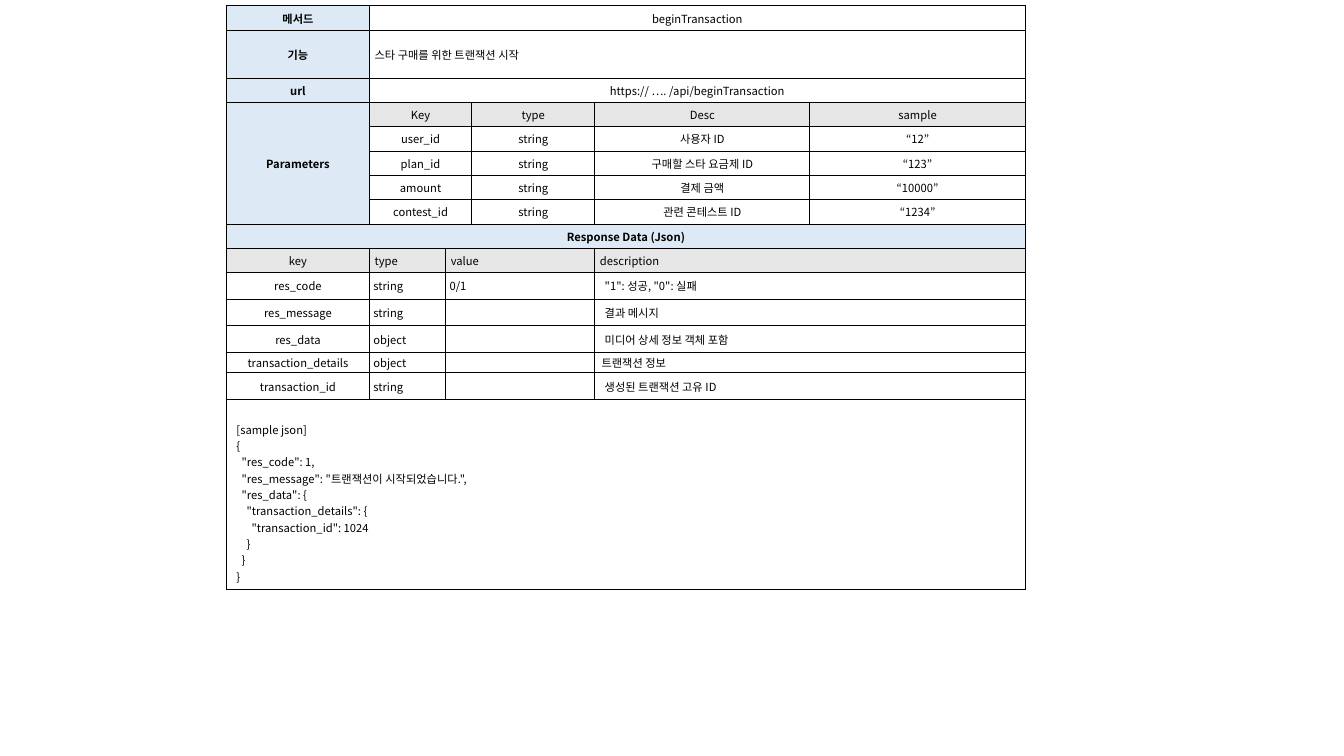
"""Build a one-slide API reference table for the beginTransaction method."""
from dataclasses import dataclass

from lxml import etree
from pptx import Presentation
from pptx.dml.color import RGBColor
from pptx.enum import text as t
from pptx.oxml import ns
from pptx.util import Cm, Pt


@dataclass(frozen=True)
class Theme:
    font: str = "Noto Sans CJK KR"
    size: float = 8
    ink: str = "000000"
    label: str = "DDEAF6"
    header: str = "E7E6E6"
    plain: str = "FFFFFF"
    border: float = 0.75


THEME = Theme()
CENTER, LEFT = t.PP_ALIGN.CENTER, t.PP_ALIGN.LEFT
NORMAL = (0.13, 0.1, 0.13, 0.1)
TIGHT = (0.1, 0.05, 0.1, 0.05)
INDENTED = (0.17, 0.05, 0.1, 0.05)
WIDE = (0.25, 0.13, 0.25, 0.13)
SAMPLE = (0.25, 0.54, 0.25, 0.13)

COLUMN_WIDTHS = [3.6, 1.92, 0.66, 3.1, 5.42, 5.43]
ROW_HEIGHTS = [0.61, 1.21] + [0.61] * 8 + [0.67] * 3 + [0.51, 0.67, 4.79]

SUMMARY = [
    ("메서드", "beginTransaction", CENTER),
    ("기능", "스타 구매를 위한 트랜잭션 시작", LEFT),
    ("url", "https:// …. /api/beginTransaction", CENTER),
]
PARAMETERS = [
    ("Key", "type", "Desc", "sample"),
    ("user_id", "string", "사용자 ID", "“12”"),
    ("plan_id", "string", "구매할 스타 요금제 ID", "“123”"),
    ("amount", "string", "결제 금액", "“10000”"),
    ("contest_id", "string", "관련 콘테스트 ID", "“1234”"),
]
RESPONSE_HEADER = ("key", "type", "value", "description")
RESPONSE = [
    ("res_code", "string", "0/1", '"1": 성공, "0": 실패', WIDE, WIDE),
    ("res_message", "string", "", "결과 메시지", WIDE, WIDE),
    ("res_data", "object", "", "미디어 상세 정보 객체 포함", WIDE, WIDE),
    ("transaction_details", "object", "", "트랜잭션 정보", TIGHT, INDENTED),
    ("transaction_id", "string", "", "생성된 트랜잭션 고유 ID", WIDE, WIDE),
]
SAMPLE_JSON = """[sample json]
{
  "res_code": 1,
  "res_message": "트랜잭션이 시작되었습니다.",
  "res_data": {
    "transaction_details": {
      "transaction_id": 1024
    }
  }
}"""


def add_borders(cell):
    """Draw a thin line on all four sides of a cell."""
    properties = cell._tc.get_or_add_tcPr()
    for side in ("a:lnL", "a:lnR", "a:lnT", "a:lnB"):
        line = etree.SubElement(properties, ns.qn(side), w=str(Pt(THEME.border)))
        fill = etree.SubElement(line, ns.qn("a:solidFill"))
        etree.SubElement(fill, ns.qn("a:srgbClr"), val=THEME.ink)


def format_paragraph(paragraph, align, bold):
    """Apply the theme's type to a paragraph, Korean text included."""
    paragraph.alignment = align
    font = paragraph.font
    font.size, font.bold, font.name = Pt(THEME.size), bold, THEME.font
    font.color.rgb = RGBColor.from_string(THEME.ink)
    defaults = paragraph._p.pPr.find(ns.qn("a:defRPr"))
    etree.SubElement(defaults, ns.qn("a:ea"), typeface=THEME.font)
    if not paragraph.text:
        etree.SubElement(paragraph._p, ns.qn("a:endParaRPr"), sz=str(Pt(THEME.size).centipoints))


def fill_cell(table, row, column, content, fill=THEME.plain, align=CENTER,
              bold=False, insets=NORMAL, rows=1, columns=1):
    """Write one cell and merge it over the given rows and columns."""
    cell = table.cell(row, column)
    if rows * columns > 1:
        cell.merge(table.cell(row + rows - 1, column + columns - 1))
    cell.text = content
    cell.vertical_anchor = t.MSO_ANCHOR.MIDDLE
    cell.margin_left, cell.margin_top, cell.margin_right, cell.margin_bottom = map(Cm, insets)
    for paragraph in cell.text_frame.paragraphs:
        format_paragraph(paragraph, align, bold)
    for r in range(row, row + rows):
        for c in range(column, column + columns):
            covered = table.cell(r, c)
            add_borders(covered)
            covered.fill.solid()
            covered.fill.fore_color.rgb = RGBColor.from_string(fill)


def add_grid(slide):
    """Add the empty table with its column widths and row heights."""
    table = slide.shapes.add_table(
        len(ROW_HEIGHTS), len(COLUMN_WIDTHS), Cm(5.71), Cm(0.15),
        Cm(sum(COLUMN_WIDTHS)), Cm(sum(ROW_HEIGHTS))).table
    table.first_row = table.horz_banding = False
    for column, width in zip(table.columns, COLUMN_WIDTHS):
        column.width = Cm(width)
    for row, height in zip(table.rows, ROW_HEIGHTS):
        row.height = Cm(height)
    return table


def fill_summary(table):
    """Write the method, purpose and address rows."""
    for row, (label, value, align) in enumerate(SUMMARY):
        fill_cell(table, row, 0, label, THEME.label, bold=True)
        fill_cell(table, row, 1, value, align=align, columns=5)


def fill_parameters(table, top):
    """Write the request parameters beside their label."""
    fill_cell(table, top, 0, "Parameters", THEME.label, bold=True, rows=len(PARAMETERS))
    for row, parameter in enumerate(PARAMETERS, top):
        fill = THEME.header if row == top else THEME.plain
        for column, columns, value in zip((1, 3, 4, 5), (2, 1, 1, 1), parameter):
            fill_cell(table, row, column, value, fill, columns=columns)


def fill_response(table, top):
    """Write the response fields and the sample below them."""
    places = list(zip((0, 1, 2, 4), (1, 1, 2, 2), (CENTER, LEFT, LEFT, LEFT)))
    places[2], places[3] = (2, 2, LEFT), (4, 2, LEFT)
    fill_cell(table, top, 0, "Response Data (Json)", THEME.label, bold=True, columns=6)
    for (column, columns, align), name in zip(places, RESPONSE_HEADER):
        fill_cell(table, top + 1, column, name, THEME.header, align, columns=columns)
    for row, (*values, key_insets, description_insets) in enumerate(RESPONSE, top + 2):
        insets = (key_insets, TIGHT, TIGHT, description_insets)
        for (column, columns, align), value, inset in zip(places, values, insets):
            fill_cell(table, row, column, value, align=align, insets=inset, columns=columns)
    fill_cell(table, top + 2 + len(RESPONSE), 0, SAMPLE_JSON, align=LEFT,
              insets=SAMPLE, columns=6)


def main():
    """Build and save the slide."""
    deck = Presentation()
    deck.slide_width, deck.slide_height = Cm(33.87), Cm(19.05)
    table = add_grid(deck.slides.add_slide(deck.slide_layouts[6]))
    fill_summary(table)
    fill_parameters(table, len(SUMMARY))
    fill_response(table, len(SUMMARY) + len(PARAMETERS))
    deck.save("out.pptx")


if __name__ == "__main__":
    main()
